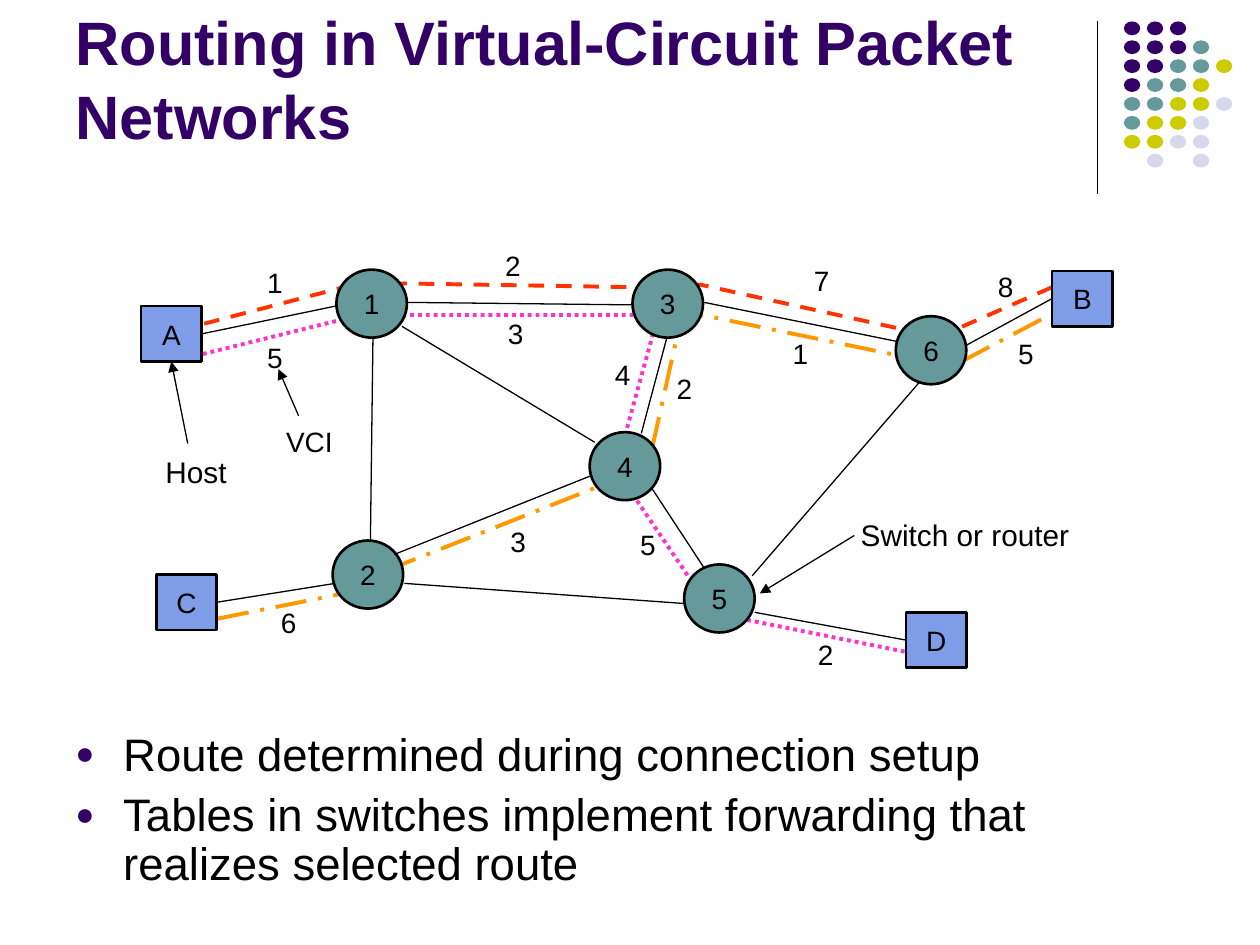
from lxml.etree import SubElement
from pptx import Presentation
from pptx.dml.color import RGBColor
from pptx.enum.dml import MSO_LINE_DASH_STYLE as DASH
from pptx.enum.shapes import MSO_CONNECTOR, MSO_SHAPE
from pptx.enum.text import MSO_ANCHOR, PP_ALIGN
from pptx.oxml.ns import qn
from pptx.util import Inches, Pt

BLACK = RGBColor(0x00, 0x00, 0x00)
PURPLE = RGBColor(0x33, 0x00, 0x66)
TEAL = RGBColor(0x66, 0x99, 0x99)
LIME = RGBColor(0xCC, 0xCC, 0x00)
LAVENDER = RGBColor(0xD8, 0xD8, 0xEC)
HOST_BLUE = RGBColor(0x7E, 0x9C, 0xE8)
ORANGE = RGBColor(0xFF, 0x99, 0x00)
PINK = RGBColor(0xFF, 0x33, 0xCC)
RED = RGBColor(0xFF, 0x33, 0x00)

prs = Presentation()
prs.slide_width, prs.slide_height = Inches(10), Inches(7.5)
slide = prs.slides.add_slide(prs.slide_layouts[6])
shapes = slide.shapes


def write(frame, text, size, color=BLACK, bold=False, inset=0, wrap=False,
          align=PP_ALIGN.LEFT, anchor=MSO_ANCHOR.TOP):
    """Fill a text frame, one paragraph per line of text, in a single style."""
    frame.text = text
    frame.word_wrap = wrap
    frame.vertical_anchor = anchor
    frame.margin_left = frame.margin_right = Inches(inset)
    frame.margin_top = frame.margin_bottom = Inches(inset / 2)
    for paragraph in frame.paragraphs:
        paragraph.alignment = align
        font = paragraph.runs[0].font
        font.name, font.size, font.bold = "Arial", Pt(size), bold
        font.color.rgb = color


def connect(start, end, arrow=False):
    line = shapes.add_connector(MSO_CONNECTOR.STRAIGHT, *map(Inches, start + end))
    line.line.color.rgb = BLACK
    line.line.width = Pt(0.75)
    properties = line._element.spPr
    if arrow:
        SubElement(properties.find(qn("a:ln")), qn("a:tailEnd"), type="triangle")
    SubElement(properties, qn("a:effectLst"))
    return line


# Corner decoration
connect((8.71, 0.17), (8.71, 1.54))
dot_colors = {"P": PURPLE, "T": TEAL, "Y": LIME, "L": LAVENDER}
dot_rows = ["PPP", "PPPT", "PPTTY", "PTTY", "TTYYL", "TYYL", "YYLL", ".L.L"]
for row, codes in enumerate(dot_rows):
    for column, code in enumerate(codes):
        if code not in dot_colors:
            continue
        dot = shapes.add_shape(
            MSO_SHAPE.OVAL, Inches(8.92 + column * 0.73 / 4),
            Inches(0.17 + row * 0.15), Inches(0.13), Inches(0.11))
        dot.shadow.inherit = False
        dot.fill.solid()
        dot.fill.fore_color.rgb = dot_colors[code]
        dot.line.fill.background()

# Virtual circuits, running behind the switches
circuits = [
    (ORANGE, DASH.LONG_DASH_DOT,
     [(1.73, 4.91), (2.68, 4.72), (3.19, 4.48), (4.73, 3.87), (5.18, 3.54),
      (5.38, 2.64), (5.57, 2.5), (7.12, 2.82), (7.65, 2.86), (8.37, 2.48)]),
    (PINK, DASH.ROUND_DOT,
     [(1.61, 2.81), (2.7, 2.54), (3.25, 2.5), (5.06, 2.5), (5.18, 2.66),
      (4.96, 3.46), (5.04, 3.95), (5.46, 4.57), (5.93, 4.92), (7.22, 5.18)]),
    (RED, DASH.DASH,
     [(1.62, 2.57), (2.73, 2.28), (3.21, 2.25), (5.06, 2.28),
      (5.56, 2.26), (7.19, 2.62), (7.62, 2.6), (8.35, 2.28)]),
]
for color, dash, route in circuits:
    points = [(Inches(x), Inches(y)) for x, y in route]
    builder = shapes.build_freeform(*points[0])
    builder.add_line_segments(points[1:], close=False)
    circuit = builder.convert_to_shape()
    circuit.shadow.inherit = False
    circuit.fill.background()
    circuit.line.color.rgb = color
    circuit.line.width = Pt(2.25)
    circuit.line.dash_style = dash

# Switches and hosts
switches = [("1", 2.67, 2.14), ("2", 2.64, 4.29), ("3", 5.02, 2.14),
            ("4", 4.68, 3.43), ("5", 5.43, 4.48), ("6", 7.11, 2.51)]
hosts = [("A", 1.12, 2.43), ("B", 8.35, 2.15), ("C", 1.24, 4.56), ("D", 7.19, 4.86)]
nodes = {}
for group, outline, fill, width, height in [
        (switches, MSO_SHAPE.OVAL, TEAL, 0.56, 0.54),
        (hosts, MSO_SHAPE.RECTANGLE, HOST_BLUE, 0.48, 0.44)]:
    for name, left, top in group:
        node = shapes.add_shape(outline, *map(Inches, (left, top, width, height)))
        node.shadow.inherit = False
        node.fill.solid()
        node.fill.fore_color.rgb = fill
        node.line.color.rgb = BLACK
        node.line.width = Pt(1.5)
        write(node.text_frame, name, 16, align=PP_ALIGN.CENTER, anchor=MSO_ANCHOR.MIDDLE)
        nodes[name] = node

# Links between switches
for start, end in [
        ((3.24, 2.4), (5.03, 2.42)), ((5.59, 2.4), (7.12, 2.71)),
        ((2.96, 2.69), (2.94, 4.29)), ((3.19, 2.59), (4.72, 3.51)),
        ((5.29, 2.69), (5.09, 3.44)), ((3.21, 4.63), (5.43, 4.79)),
        ((3.13, 4.4), (4.68, 3.78)), ((5.17, 3.87), (5.59, 4.51)),
        ((7.3, 3.03), (5.97, 4.57))]:
    connect(start, end)

# Links from switches to hosts
for start, end, host, side in [
        ((2.66, 2.43), (1.6, 2.65), "A", 3), ((7.67, 2.74), (8.35, 2.37), "B", 1),
        ((2.66, 4.63), (1.72, 4.78), "C", 3), ((5.99, 4.86), (7.19, 5.08), "D", 1)]:
    connect(start, end).end_connect(nodes[host], side)

# Virtual-circuit identifiers and captions
for text, left, top, width, size in [
        ("1", 2.12, 2.11, 0.12, 16), ("5", 2.12, 2.7, 0.12, 16),
        ("2", 4.01, 1.97, 0.12, 16), ("3", 4.03, 2.51, 0.12, 16),
        ("7", 6.46, 2.09, 0.12, 16), ("1", 6.29, 2.67, 0.12, 16),
        ("8", 7.92, 2.14, 0.12, 16), ("5", 8.08, 2.67, 0.12, 16),
        ("4", 4.88, 2.84, 0.12, 16), ("2", 5.37, 2.95, 0.12, 16),
        ("3", 4.05, 4.16, 0.12, 16), ("6", 2.23, 4.81, 0.12, 16),
        ("5", 5.08, 4.19, 0.12, 16), ("2", 6.49, 5.06, 0.12, 16),
        ("VCI", 2.27, 3.37, 0.37, 16), ("Host", 1.31, 3.6, 0.49, 17),
        ("Switch or router", 6.83, 4.1, 1.66, 17)]:
    label = shapes.add_textbox(*map(Inches, (left, top, width, 0.27)))
    write(label.text_frame, text, size, align=PP_ALIGN.CENTER)

connect((1.49, 3.52), (1.36, 2.87), arrow=True).end_connect(nodes["A"], 2)
connect((6.78, 4.25), (6.03, 4.71), arrow=True)
connect((2.37, 3.3), (2.21, 2.93), arrow=True)

# Title and bullets
title = shapes.add_textbox(Inches(0.5), Inches(0.13), Inches(8.25), Inches(1.12))
write(title.text_frame, "Routing in Virtual-Circuit Packet Networks", 35, PURPLE,
      bold=True, inset=0.1, wrap=True, anchor=MSO_ANCHOR.BOTTOM)

body = shapes.add_textbox(Inches(0.5), Inches(5.76), Inches(9), Inches(1.44))
write(body.text_frame,
      "Route determined during connection setup\n"
      "Tables in switches implement forwarding that realizes selected route",
      26, inset=0.1, wrap=True)
for paragraph in body.text_frame.paragraphs:
    paragraph.line_spacing = 0.9
    paragraph.space_before = Pt(6.5)
    properties = paragraph._p.get_or_add_pPr()
    properties.set("marL", str(Inches(0.38)))
    properties.set("indent", str(-Inches(0.38)))
    bullet_color = SubElement(properties, qn("a:buClr"))
    SubElement(bullet_color, qn("a:srgbClr"), val=str(PURPLE))
    SubElement(properties, qn("a:buSzPct"), val="70000")
    SubElement(properties, qn("a:buFont"), typeface="Arial")
    SubElement(properties, qn("a:buChar"), char="●")

prs.save("out.pptx")
